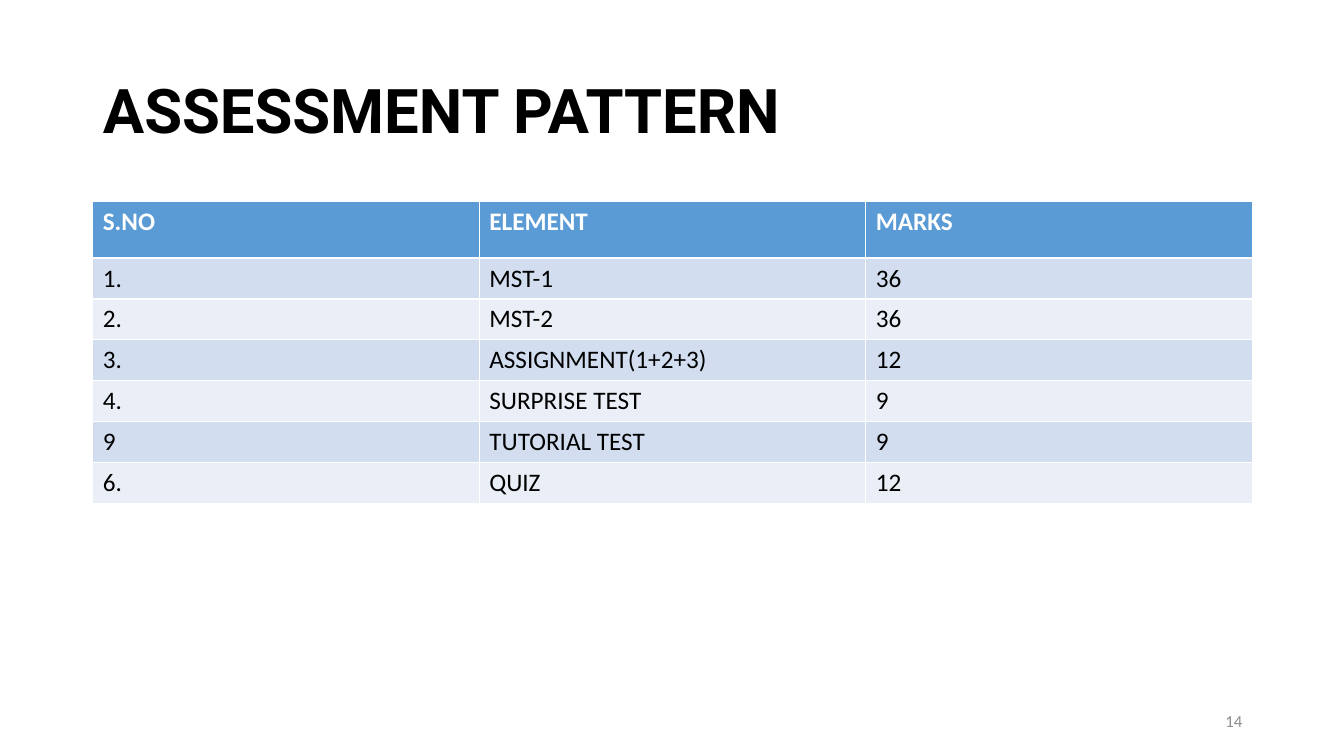
"""Build the assessment pattern slide with its table of marks."""
from pptx import Presentation
from pptx.dml.color import RGBColor
from pptx.enum.text import MSO_ANCHOR, MSO_AUTO_SIZE, PP_ALIGN
from pptx.util import Inches, Pt

BLACK = RGBColor(0x00, 0x00, 0x00)
WHITE = RGBColor(0xFF, 0xFF, 0xFF)
GREY = RGBColor(0x8C, 0x8C, 0x8C)
HEADER_BLUE = RGBColor(0x5B, 0x9B, 0xD5)
BAND_DARK = RGBColor(0xD2, 0xDE, 0xEF)
BAND_LIGHT = RGBColor(0xEA, 0xEF, 0xF7)

ASSESSMENTS = [
    ("S.NO", "ELEMENT", "MARKS"),
    ("1.", "MST-1", "36"),
    ("2.", "MST-2", "36"),
    ("3.", "ASSIGNMENT(1+2+3)", "12"),
    ("4.", "SURPRISE TEST", "9"),
    ("9", "TUTORIAL TEST", "9"),
    ("6.", "QUIZ", "12"),
]


def write(frame, text, color, **font_format):
    frame.text = text
    font = frame.paragraphs[0].runs[0].font
    font.color.rgb = color
    for attribute, value in font_format.items():
        setattr(font, attribute, value)


prs = Presentation()
prs.slide_width, prs.slide_height = Inches(13.33), Inches(7.5)
slide = prs.slides.add_slide(prs.slide_layouts[5])

heading = slide.shapes.title
heading_box = {"left": 0.92, "top": 0.4, "width": 11.5, "height": 1.45}
for attribute, length in heading_box.items():
    setattr(heading, attribute, Inches(length))
write(heading.text_frame, "ASSESSMENT PATTERN", BLACK, name="Roboto", size=Pt(44), bold=True)
heading.text_frame.auto_size = MSO_AUTO_SIZE.NONE
heading.text_frame.vertical_anchor = MSO_ANCHOR.MIDDLE
heading.text_frame.paragraphs[0].alignment = PP_ALIGN.LEFT
heading.text_frame.paragraphs[0].line_spacing = 0.9

marks = slide.shapes.add_table(
    len(ASSESSMENTS), 3, Inches(0.92), Inches(2), Inches(11.5), Inches(2.99)
).table
for row_index, entries in enumerate(ASSESSMENTS):
    is_header = row_index == 0
    marks.rows[row_index].height = Inches(0.56 if is_header else 0.405)
    band = BAND_DARK if row_index % 2 else BAND_LIGHT
    for column_index, entry in enumerate(entries):
        cell = marks.cell(row_index, column_index)
        cell.fill.solid()
        cell.fill.fore_color.rgb = HEADER_BLUE if is_header else band
        write(cell.text_frame, entry, WHITE if is_header else BLACK,
              name="Calibri", size=Pt(18), bold=is_header)

page_number = slide.shapes.add_textbox(
    Inches(9.42), Inches(6.95), Inches(3), Inches(0.4)
).text_frame
page_number.word_wrap = True
page_number.vertical_anchor = MSO_ANCHOR.MIDDLE
write(page_number, "14", GREY, name="Calibri", size=Pt(12))
page_number.paragraphs[0].alignment = PP_ALIGN.RIGHT

prs.save("out.pptx")
